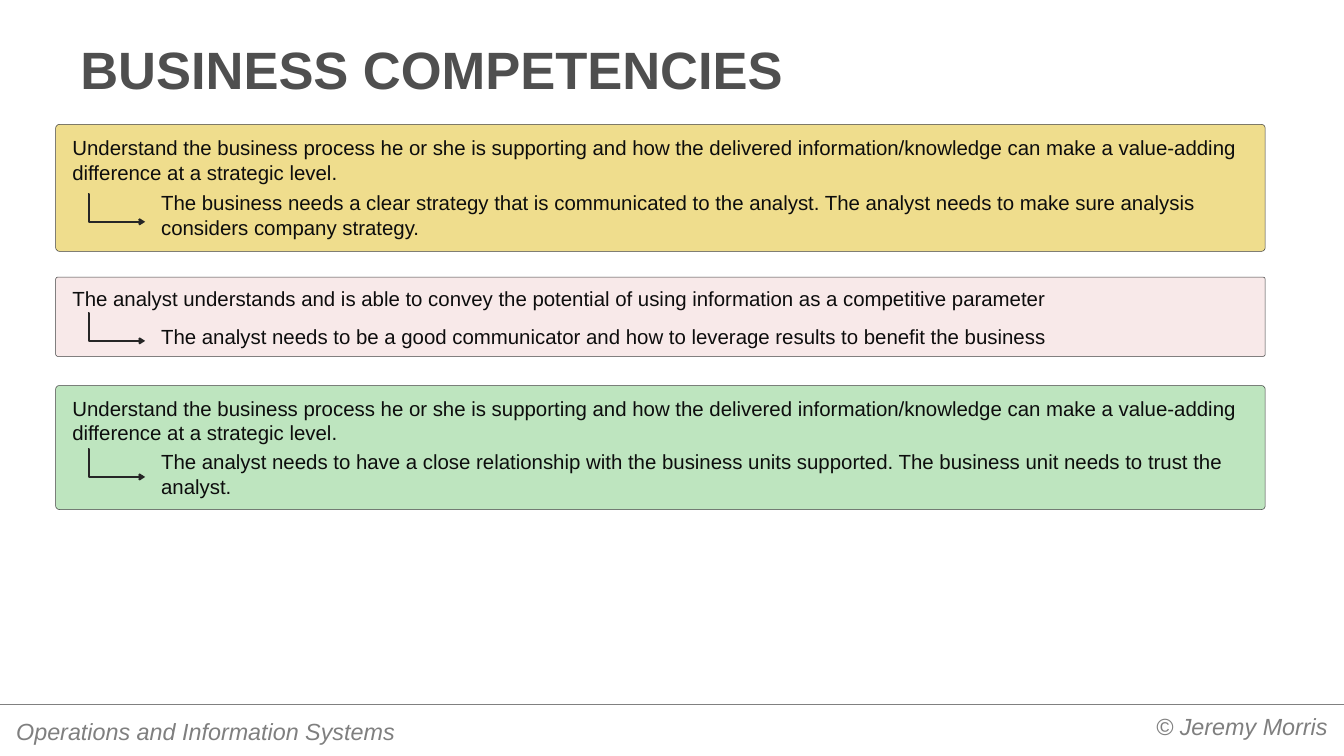
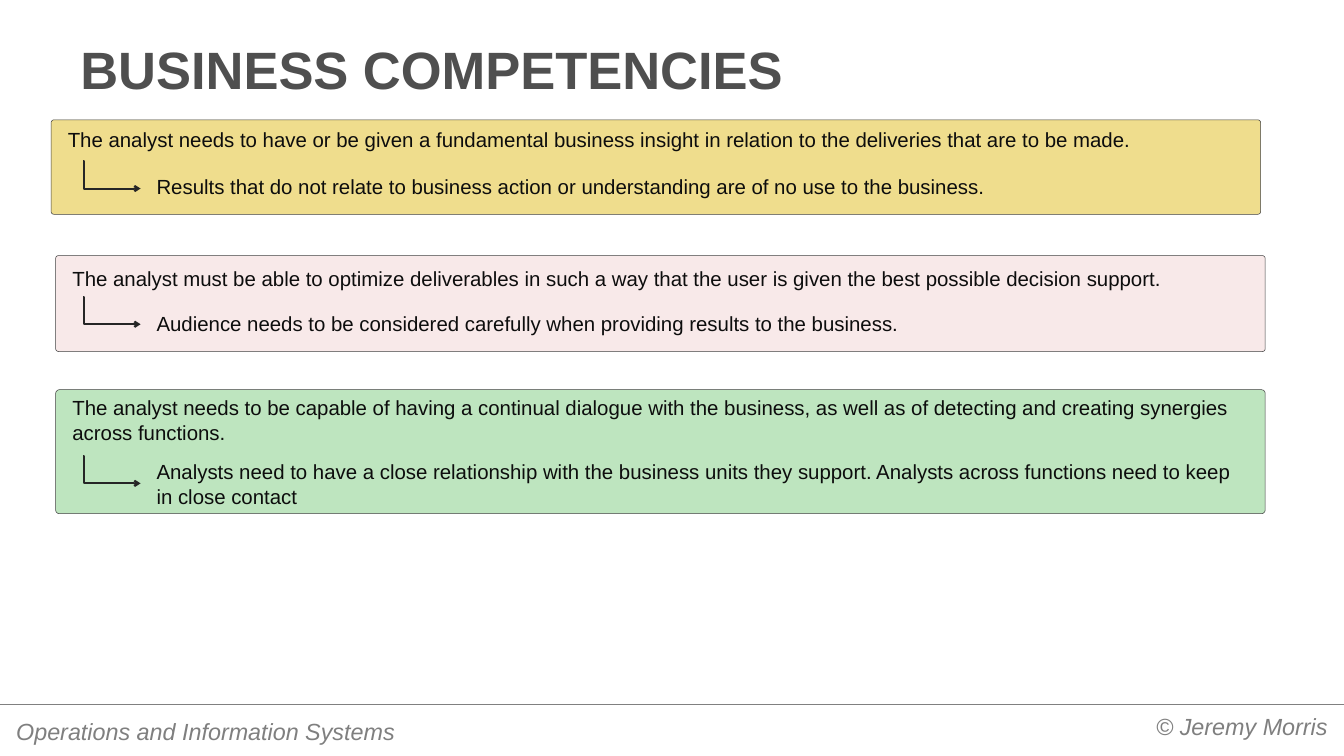
"""Build two slides of business competencies, each with three pairs of statement and response."""
from dataclasses import dataclass

from lxml import etree
from pptx import Presentation
from pptx import util as u
from pptx.dml.color import RGBColor
from pptx.enum import shapes, text
from pptx.oxml import ns

SLIDE_WIDTH, SLIDE_HEIGHT = u.Inches(25.6), u.Inches(14.4)
FONT = "Arial"
YELLOW = RGBColor(0xEF, 0xDD, 0x8D)
PINK = RGBColor(0xF8, 0xE9, 0xE9)
GREEN = RGBColor(0xBE, 0xE5, 0xBF)
CARD_BORDER = RGBColor(0x40, 0x40, 0x40)
ARROW_COLOR = RGBColor(0x26, 0x26, 0x26)
BODY_COLOR = RGBColor(0x0D, 0x0D, 0x0D)
TITLE_COLOR = RGBColor(0x4F, 0x4F, 0x4F)
FOOTER_COLOR = RGBColor(0x7F, 0x7F, 0x7F)
RULE_COLOR = RGBColor(0x80, 0x80, 0x80)

TITLE = "BUSINESS COMPETENCIES"
CARD_LEFT, CARD_WIDTH = 4.14, 90
STATEMENT_LEFT, STATEMENT_WIDTH = 5, 88.3
RESPONSE_LEFT, RESPONSE_WIDTH = 11.6, 81.7
ARROW_LEFT, ARROW_WIDTH, ARROW_HEIGHT = 6.53, 4.27, 3.64
FOOTER_MARGIN, FOOTER_RULE = 0.5, 93.1
BUSINESS_PROCESS = (
    "Understand the business process he or she is supporting and how the delivered "
    "information/knowledge can make a value-adding difference at a strategic level."
)


@dataclass
class Card:
    """A coloured card; tops and heights are rows, shift is columns."""

    fill: RGBColor
    top: float
    height: float
    lines: int
    statement_top: float
    statement: str
    response_top: float
    response: str
    arrow_top: float
    shift: float = 0


FIRST_CARDS = [
    Card(YELLOW, 16.45, 16.8, 2, 17.55, BUSINESS_PROCESS, 24.85,
         "The business needs a clear strategy that is communicated to the analyst. "
         "The analyst needs to make sure analysis considers company strategy.", 25.7),
    Card(PINK, 36.65, 10.5, 1, 37.45,
         "The analyst understands and is able to convey the potential of using "
         "information as a competitive parameter", 42.5,
         "The analyst needs to be a good communicator and how to leverage results "
         "to benefit the business", 41.45),
    Card(GREEN, 51, 16.4, 2, 52, BUSINESS_PROCESS, 59.1,
         "The analyst needs to have a close relationship with the business units "
         "supported. The business unit needs to trust the analyst.", 59.45),
]
SECOND_CARDS = [
    Card(YELLOW, 15.85, 12.5, 1, 16.45,
         "The analyst needs to have or be given a fundamental business insight in "
         "relation to the deliveries that are to be made.", 22.65,
         "Results that do not relate to business action or understanding are of no "
         "use to the business.", 21.3, shift=-0.34),
    Card(PINK, 33.8, 12.7, 1, 34.85,
         "The analyst must be able to optimize deliverables in such a way that the "
         "user is given the best possible decision support.", 40.85,
         "Audience needs to be considered carefully when providing results to the "
         "business.", 39.25),
    Card(GREEN, 51.55, 16.4, 2, 51.95,
         "The analyst needs to be capable of having a continual dialogue with the "
         "business, as well as of detecting and creating synergies across functions.", 60.4,
         "Analysts need to have a close relationship with the business units they "
         "support. Analysts across functions need to keep in close contact", 60.3),
]


def columns(count):
    """Return the length of some hundredths of the slide's width."""
    return u.Emu(round(SLIDE_WIDTH * count / 100))


def rows(count):
    """Return the length of some hundredths of the slide's height."""
    return u.Emu(round(SLIDE_HEIGHT * count / 100))


def area(left, top, width, height):
    """Return a grid area as four lengths."""
    return columns(left), rows(top), columns(width), rows(height)


def write_text(shape, words, *, size, color, bold=False, italic=False,
               align=text.PP_ALIGN.LEFT, anchor=text.MSO_ANCHOR.TOP,
               fit=text.MSO_AUTO_SIZE.SHAPE_TO_FIT_TEXT, insets=(0.1, 0.05)):
    """Fill a shape with one formatted paragraph."""
    frame = shape.text_frame
    frame.word_wrap, frame.auto_size, frame.vertical_anchor = True, fit, anchor
    frame.margin_left = frame.margin_right = u.Inches(insets[0])
    frame.margin_top = frame.margin_bottom = u.Inches(insets[1])
    paragraph = frame.paragraphs[0]
    paragraph.text, paragraph.alignment = words, align
    font = paragraph.runs[0].font
    font.name, font.size, font.color.rgb = FONT, u.Pt(size), color
    font.bold, font.italic = bold, italic


def add_text(slide, box, words, **formatting):
    """Add a text box on a grid area."""
    write_text(slide.shapes.add_textbox(*area(*box)), words, **formatting)


def add_line(slide, kind, start, end, color, width):
    """Add a connector without a shadow between two grid points."""
    connector = slide.shapes.add_connector(
        kind, columns(start[0]), rows(start[1]), columns(end[0]), rows(end[1]))
    connector.line.color.rgb = color
    connector.line.width = u.Pt(width)
    etree.SubElement(connector.element.spPr, ns.qn("a:effectLst"))
    return connector


def add_bent_arrow(slide, left, top):
    """Add an arrow that drops and then turns right."""
    connector = add_line(slide, shapes.MSO_CONNECTOR.ELBOW, (left, top),
                         (left + ARROW_WIDTH, top + ARROW_HEIGHT), ARROW_COLOR, 2.75)
    properties = connector.element.spPr
    etree.SubElement(properties.find(ns.qn("a:ln")), ns.qn("a:tailEnd"), type="arrow")
    adjustments = properties.find(".//" + ns.qn("a:avLst"))
    etree.SubElement(adjustments, ns.qn("a:gd"), name="adj1", fmla="val 2200")


def add_card(slide, card, response_shift):
    """Add a card with its statement, arrow and response."""
    shape = slide.shapes.add_shape(
        shapes.MSO_SHAPE.ROUNDED_RECTANGLE,
        *area(CARD_LEFT + card.shift, card.top, CARD_WIDTH, card.height))
    shape.adjustments[0] = 0.03
    shape.shadow.inherit = False
    shape.fill.solid()
    shape.fill.fore_color.rgb = card.fill
    shape.line.color.rgb = CARD_BORDER
    shape.line.width = u.Pt(0.75)
    text_height = 0.8 + 3.2 * card.lines
    add_text(slide, (STATEMENT_LEFT + card.shift, card.statement_top, STATEMENT_WIDTH,
                     text_height), card.statement, size=28, color=BODY_COLOR)
    add_text(slide, (RESPONSE_LEFT + response_shift, card.response_top, RESPONSE_WIDTH,
                     text_height), card.response, size=28, color=BODY_COLOR)
    add_bent_arrow(slide, ARROW_LEFT + response_shift, card.arrow_top)


def add_footer(slide):
    """Add the rule, the course name and the copyright line."""
    add_line(slide, shapes.MSO_CONNECTOR.STRAIGHT, (0, FOOTER_RULE), (100, FOOTER_RULE),
             RULE_COLOR, 0.75)
    style = dict(size=32, color=FOOTER_COLOR, italic=True, insets=(0.18, 0.09))
    add_text(slide, (57, 93.6, 43 - FOOTER_MARGIN, 5), "© Jeremy Morris",
             align=text.PP_ALIGN.RIGHT, **style)
    add_text(slide, (FOOTER_MARGIN, 94.2, 34.2, 5), "Operations and Information Systems",
             **style)


def add_slide(presentation, cards, response_shift=0):
    """Add a titled slide with its cards and footer."""
    slide = presentation.slides.add_slide(presentation.slide_layouts[5])
    title = slide.shapes.title
    title.left, title.top, title.width, title.height = area(5, 3.7, 90, 10.35)
    write_text(title, TITLE, size=72, color=TITLE_COLOR, bold=True,
               anchor=text.MSO_ANCHOR.BOTTOM, fit=text.MSO_AUTO_SIZE.NONE,
               insets=(0.25, 0.12))
    add_footer(slide)
    for card in cards:
        add_card(slide, card, response_shift)


def main():
    """Build and save the presentation."""
    presentation = Presentation()
    presentation.slide_width, presentation.slide_height = SLIDE_WIDTH, SLIDE_HEIGHT
    add_slide(presentation, FIRST_CARDS)
    add_slide(presentation, SECOND_CARDS, response_shift=-0.34)
    presentation.save("out.pptx")


if __name__ == "__main__":
    main()
